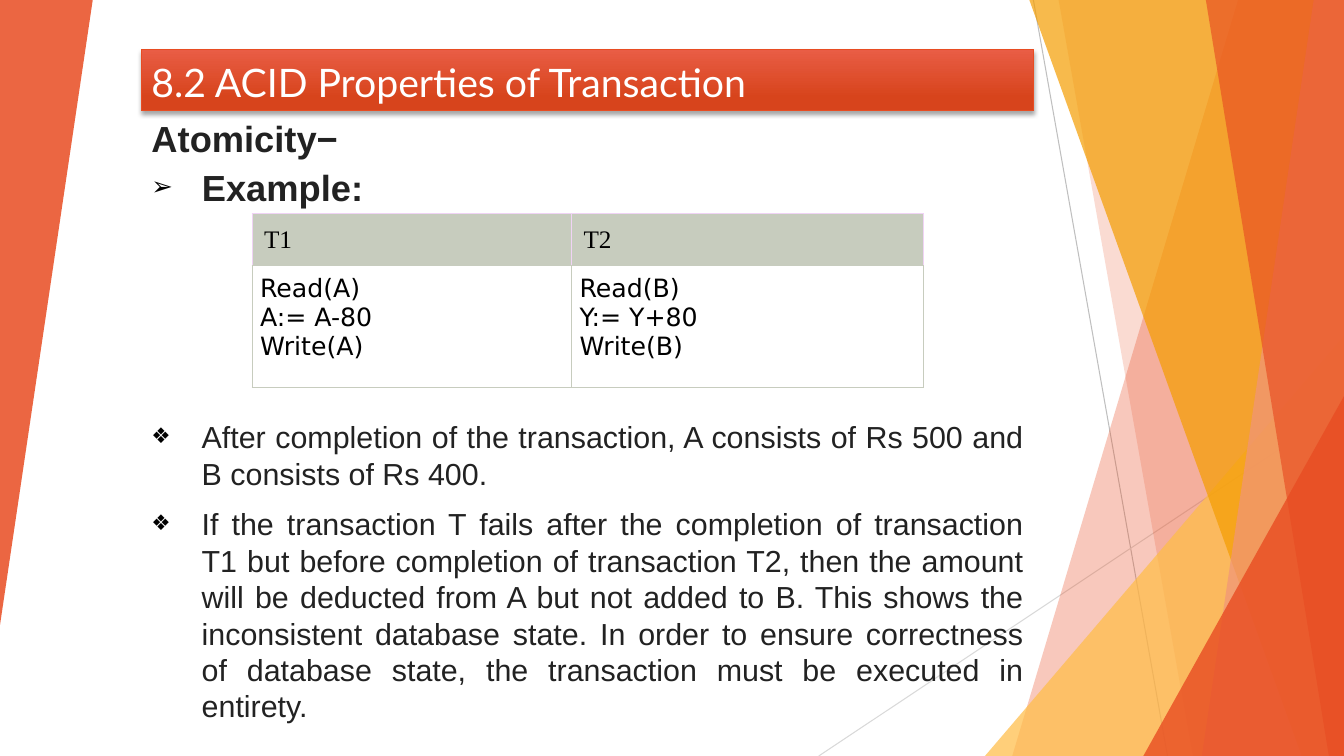
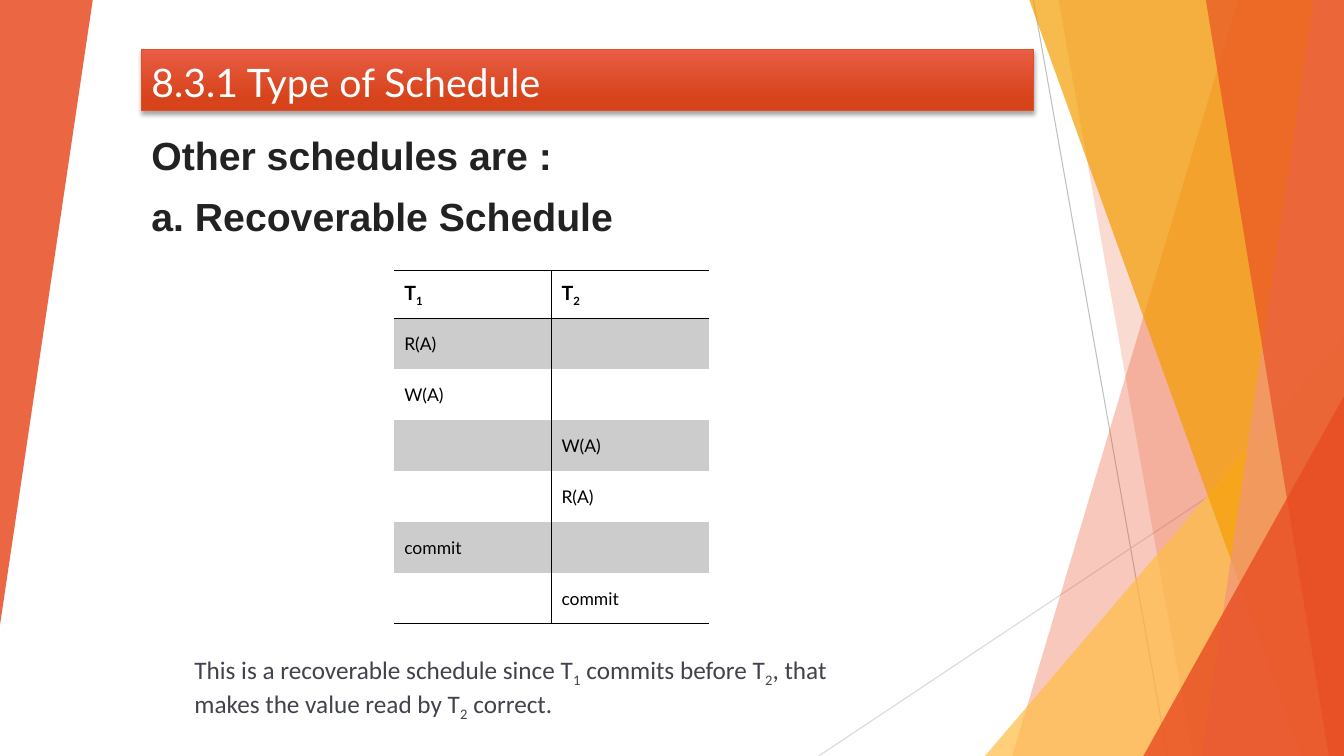
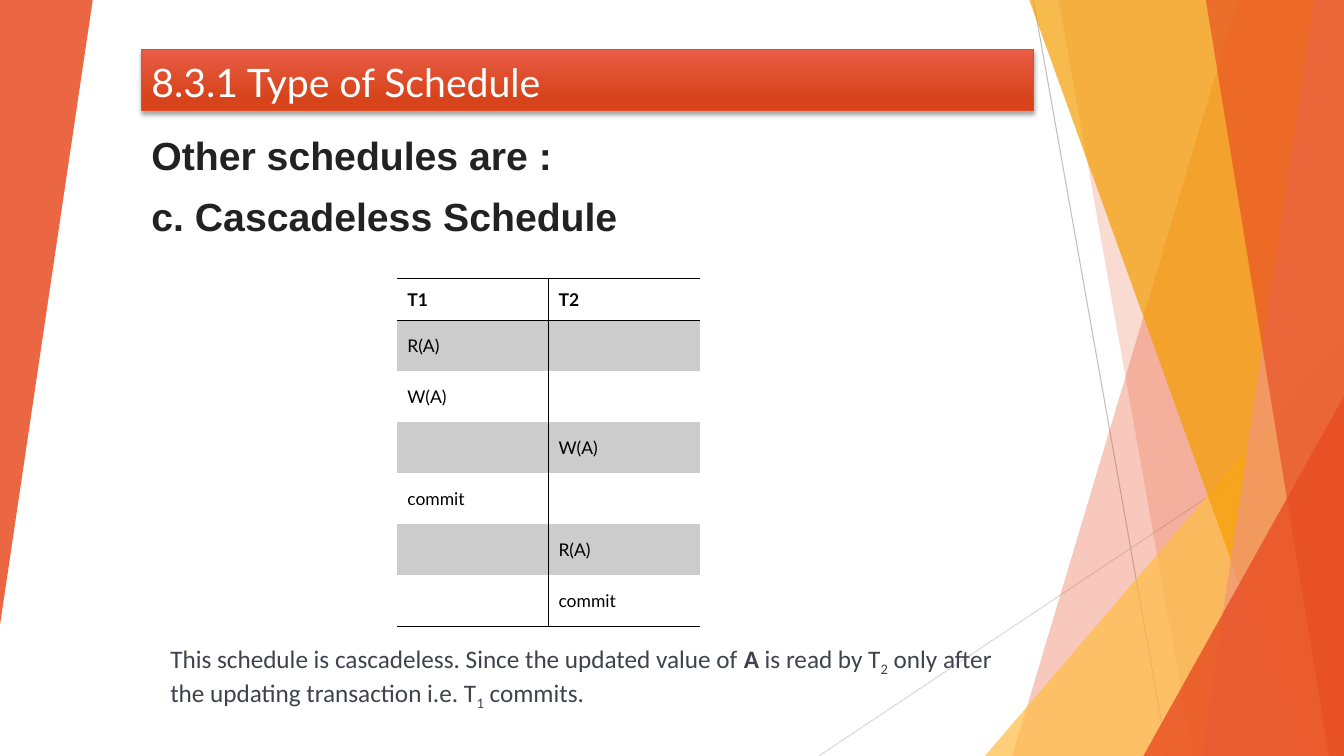
from lxml import etree
from pptx import Presentation
from pptx.dml.color import RGBColor
from pptx.enum.shapes import MSO_CONNECTOR, MSO_SHAPE
from pptx.enum.text import MSO_ANCHOR, MSO_AUTO_SIZE, PP_ALIGN
from pptx.oxml.ns import qn
from pptx.util import Inches, Pt

LINE = MSO_CONNECTOR.STRAIGHT
SPIKE = MSO_SHAPE.ISOSCELES_TRIANGLE
LOW, MID = MSO_ANCHOR.BOTTOM, MSO_ANCHOR.MIDDLE
LEFT, FULL = PP_ALIGN.LEFT, PP_ALIGN.JUSTIFY
FIXED = MSO_AUTO_SIZE.NONE

WHITE = RGBColor(0xFF, 0xFF, 0xFF)
BLACK = RGBColor(0, 0, 0)
INK = RGBColor(0x22, 0x22, 0x22)
SLATE = RGBColor(0x40, 0x42, 0x4E)
RED = RGBColor(0xE8, 0x4C, 0x22)
CORAL = RGBColor(0xE9, 0x5D, 0x45)
RUST = RGBColor(0xD7, 0x44, 0x1C)
PEACH = RGBColor(0xF1, 0x94, 0x7A)
GOLD = RGBColor(0xFF, 0xBD, 0x47)
AMBER = RGBColor(0xF4, 0x9D, 0x00)
SILVER = RGBColor(0xBF, 0xBF, 0xBF)
PALE = RGBColor(0xD9, 0xD9, 0xD9)
SAGE = RGBColor(0xC7, 0xCC, 0xBE)
LILAC = RGBColor(0xF0, 0xD3, 0xF5)
BAND = RGBColor(0xCC, 0xCC, 0xCC)
PLAIN = "{2D5ABB26-0587-4C30-8999-92F81FD0307C}"

deck = Presentation()
deck.slide_width, deck.slide_height = Inches(13.33), Inches(7.5)
COL, ROW = deck.slide_width / 100, deck.slide_height / 100
SIDE, SPAN = 10.52, 66.39


def write(par, size, face, tint, runs):
    for text, style in runs:
        run = par.add_run()
        run.text = text
        font = run.font
        font.size, font.name, font.bold = Pt(size), face, style in ("bold", "subbold")
        font.color.rgb = tint
        if style.startswith("sub"):
            run._r.get_or_add_rPr().set("baseline", "-25000")


def edge(cell, sides, tint, width):
    props = cell._tc.get_or_add_tcPr()
    for side in sides:
        line = etree.SubElement(props, qn("a:ln" + side), w=str(Pt(width)))
        fill = etree.SubElement(line, qn("a:solidFill"))
        etree.SubElement(fill, qn("a:srgbClr"), val=str(tint))


layout = deck.slide_layouts[0]
for hold in list(layout.placeholders):
    if hold.placeholder_format.idx >= 10:
        hold.element.getparent().remove(hold.element)

slides = [deck.slides.add_slide(layout) for _ in range(3)]

shapes = slides[0].shapes
art = []
for x1, y1, x2, y2, tint in [(76.89, 0, 86.87, 100, SILVER), (100, 53.73, 60.92, 100, PALE)]:
    line = shapes.add_connector(
        LINE, int(x1 * COL), int(y1 * ROW), int(x2 * COL), int(y2 * ROW))
    line.line.color.rgb, line.line.width = tint, Pt(0.75)
    etree.SubElement(line.element.spPr, qn("a:effectLst"))
    art.append(line)

for spots, turn, tint, share in [
    ((92.12, 75.32), 0, RED, 30),
    ((78.77, 88.75), 0, RED, 20),
    ((73.29, 44.4, 26.71, 55.6), 0, GOLD, 72),
    ((76.59, 96.85), 0, AMBER, 70),
    ((97.75, 89.42), 0, PEACH, 70),
    ((89.72, 98.87), 0, RED, 65),
    ((85.07, 52.4, 14.93, 47.6), 0, RED, 80),
    ((0, 0, 6.9, 82.67), 180, RED, 85),
]:
    if len(spots) == 2:
        top, base = spots
        pen = shapes.build_freeform(int(top * COL), 0)
        pen.add_line_segments(
            [(int(x * COL), int(y * ROW)) for x, y in [(100, 0), (100, 100), (base, 100)]])
        shard = pen.convert_to_shape()
    else:
        x, y, wide, high = spots
        shard = shapes.add_shape(
            SPIKE, int(x * COL), int(y * ROW), int(wide * COL), int(high * ROW))
        shard.adjustments[0] = 1
        shard.rotation = turn
    shard.shadow.inherit = False
    shard.fill.solid()
    shard.fill.fore_color.rgb = tint
    hue = shard.element.spPr.find(".//" + qn("a:srgbClr"))
    etree.SubElement(hue, qn("a:alpha"), val=str(share * 1000))
    shard.line.fill.background()
    art.append(shard)

for spot, item in enumerate(art, 2):
    layout.shapes.element.insert(spot, item.element)

heads = ["8.2 ACID Properties of Transaction", "8.3.1 Type of Schedule", "8.3.1 Type of Schedule"]
for slide, head in zip(slides, heads):
    title = slide.shapes.title
    title.left, title.top = int(SIDE * COL), int(6.53 * ROW)
    title.width, title.height = int(SPAN * COL), int(8.13 * ROW)
    title.fill.gradient()
    title.fill.gradient_angle = 270
    for stop, tint, place in zip(title.fill.gradient_stops, (CORAL, RUST), (0, 0.78)):
        stop.color.rgb, stop.position = tint, place
    title.line.color.rgb, title.line.width = RED, Pt(1)
    glow = etree.SubElement(title.element.spPr, qn("a:effectLst"))
    shade = etree.SubElement(
        glow, qn("a:outerShdw"), blurRad=str(Pt(3)), dist=str(Pt(2)), dir="5400000", rotWithShape="0")
    hue = etree.SubElement(shade, qn("a:srgbClr"), val=str(BLACK))
    etree.SubElement(hue, qn("a:alpha"), val="35000")
    frame = title.text_frame
    frame.word_wrap, frame.auto_size, frame.vertical_anchor = True, FIXED, LOW
    frame.paragraphs[0].alignment = LEFT
    write(frame.paragraphs[0], 28, "Lato", WHITE, [(head, "")])

facts = slides[0].shapes.add_textbox(0, 0, COL, ROW)
bodies = [
    (slides[0].placeholders[1], 14.67, 13.6, 25.9, 4, "bold",
     [("Atomicity−", ""), ("Example:", "➢")]),
    (facts, 54.67, 34.8, 21.7, 10, "",
     [("After completion of the transaction, A consists of Rs 500 and B consists of Rs 400.", "❖"),
      ("If the transaction T fails after the completion of transaction T1 but before "
       "completion of transaction T2, then the amount will be deducted from A but not "
       "added to B. This shows the inconsistent database state. In order to ensure "
       "correctness of database state, the transaction must be executed in entirety.", "❖")]),
]
for slide, name in zip(slides[1:], ["a. Recoverable Schedule", "c. Cascadeless Schedule"]):
    bodies.append((slide.placeholders[1], 16.67, 16.8, 28, 10, "bold",
                   [("Other schedules are :", ""), (name, "")]))

for box, top, high, size, gap, style, items in bodies:
    box.left, box.top = int(SIDE * COL), int(top * ROW)
    box.width, box.height = int(SPAN * COL), int(high * ROW)
    frame = box.text_frame
    frame.word_wrap, frame.auto_size = True, FIXED
    for spot, (text, mark) in enumerate(items):
        par = frame.add_paragraph() if spot else frame.paragraphs[0]
        if mark:
            props = par._p.get_or_add_pPr()
            props.set("marL", str(Inches(0.5)))
            props.set("indent", str(-Inches(0.5)))
            hue = etree.SubElement(props, qn("a:buClr"))
            etree.SubElement(hue, qn("a:srgbClr"), val=str(BLACK))
            etree.SubElement(props, qn("a:buSzPct"), val="71000")
            etree.SubElement(props, qn("a:buFont"), typeface="Arial")
            etree.SubElement(props, qn("a:buChar"), char=mark)
        par.alignment, par.line_spacing = FULL, 1.0
        par.space_before = Pt(gap if spot else 0)
        write(par, size, "Arial", INK, [(text, style)])

deal = [["T1", "T2"], ["Read(A)\nA:= A-80\nWrite(A)", "Read(B)\nY:= Y+80\nWrite(B)"]]
reads = [
    [[("T", "bold"), ("1", "subbold")], [("T", "bold"), ("2", "subbold")]],
    ["R(A)", ""], ["W(A)", ""], ["", "W(A)"], ["", "R(A)"], ["commit", ""], ["", "commit"],
]
safe = [
    [[("T1", "bold")], [("T2", "bold")]],
    ["R(A)", ""], ["W(A)", ""], ["", "W(A)"], ["commit", ""], ["", "R(A)"], ["", "commit"],
]
grids = [
    (deal, 18.75, 28.27, (23.78, 26.18), (6.8, 16.13), 18),
    (reads, 29.33, 35.73, (11.7, 11.7), (6.35,) + (6.67,) * 6, 14),
    (safe, 29.56, 36.8, (11.25, 11.25), (5.6,) + (6.67,) * 6, 12.5),
]
for slide, (data, left, top, wides, highs, size) in zip(slides, grids):
    holder = slide.shapes.add_table(
        len(highs), len(wides), int(left * COL), int(top * ROW),
        int(sum(wides) * COL), int(sum(highs) * ROW))
    table = holder.table
    table.first_row = table.horz_banding = False
    next(holder.element.iter(qn("a:tableStyleId"))).text = PLAIN
    for col, wide in zip(table.columns, wides):
        col.width = int(wide * COL)
    for r, high in enumerate(highs):
        table.rows[r].height = int(high * ROW)
        for c, text in enumerate(data[r]):
            cell = table.cell(r, c)
            par = cell.text_frame.paragraphs[0]
            if data is deal:
                pad = Inches(0.08 if r else 0.12)
                cell.margin_left = cell.margin_right = pad
                cell.margin_top = cell.margin_bottom = pad
                edge(cell, "LRT", SAGE if r else LILAC, 0.75)
                edge(cell, "B", SAGE, 0.75)
                cell.fill.solid()
                cell.fill.fore_color.rgb = WHITE if r else SAGE
                for spot, part in enumerate(text.split("\n")):
                    if spot:
                        par.add_line_break()
                    write(par, size, "DejaVu Sans" if r else "Times New Roman", BLACK, [(part, "")])
                continue
            cell.vertical_anchor = MID
            cell.margin_left = cell.margin_right = Inches(0.1)
            cell.margin_top = cell.margin_bottom = Inches(0.13 if r and text else 0.1)
            edge(cell, "L" if c else "R", BLACK, 1)
            if r == 0:
                edge(cell, "T", BLACK, 1)
            if r in (0, len(highs) - 1):
                edge(cell, "B", BLACK, 1)
            if r % 2:
                cell.fill.solid()
                cell.fill.fore_color.rgb = BAND
            else:
                cell.fill.background()
            if text:
                write(par, 12.5 if r else size, "Lato", BLACK, [(text, "")] if r else text)

notes = [
    (13.73, 85.87, 50.04,
     [("This is a recoverable schedule since T", ""), ("1", "sub"), (" commits before T", ""),
      ("2", "sub"), (", that makes the value read by T", ""), ("2", "sub"), (" correct.", "")]),
    (11.93, 84.4, 64.07,
     [("This schedule is cascadeless. Since the updated value of ", ""), ("A", "bold"),
      (" is read by T", ""), ("2", "sub"), (" only after the updating transaction i.e. T", ""),
      ("1", "sub"), (" commits.", "")]),
]
for slide, (left, top, wide, runs) in zip(slides[1:], notes):
    note = slide.shapes.add_textbox(
        int(left * COL), int(top * ROW), int(wide * COL), int(9.47 * ROW))
    note.text_frame.word_wrap = True
    write(note.text_frame.paragraphs[0], 18, "Calibri", SLATE, runs)

deck.save("out.pptx")
